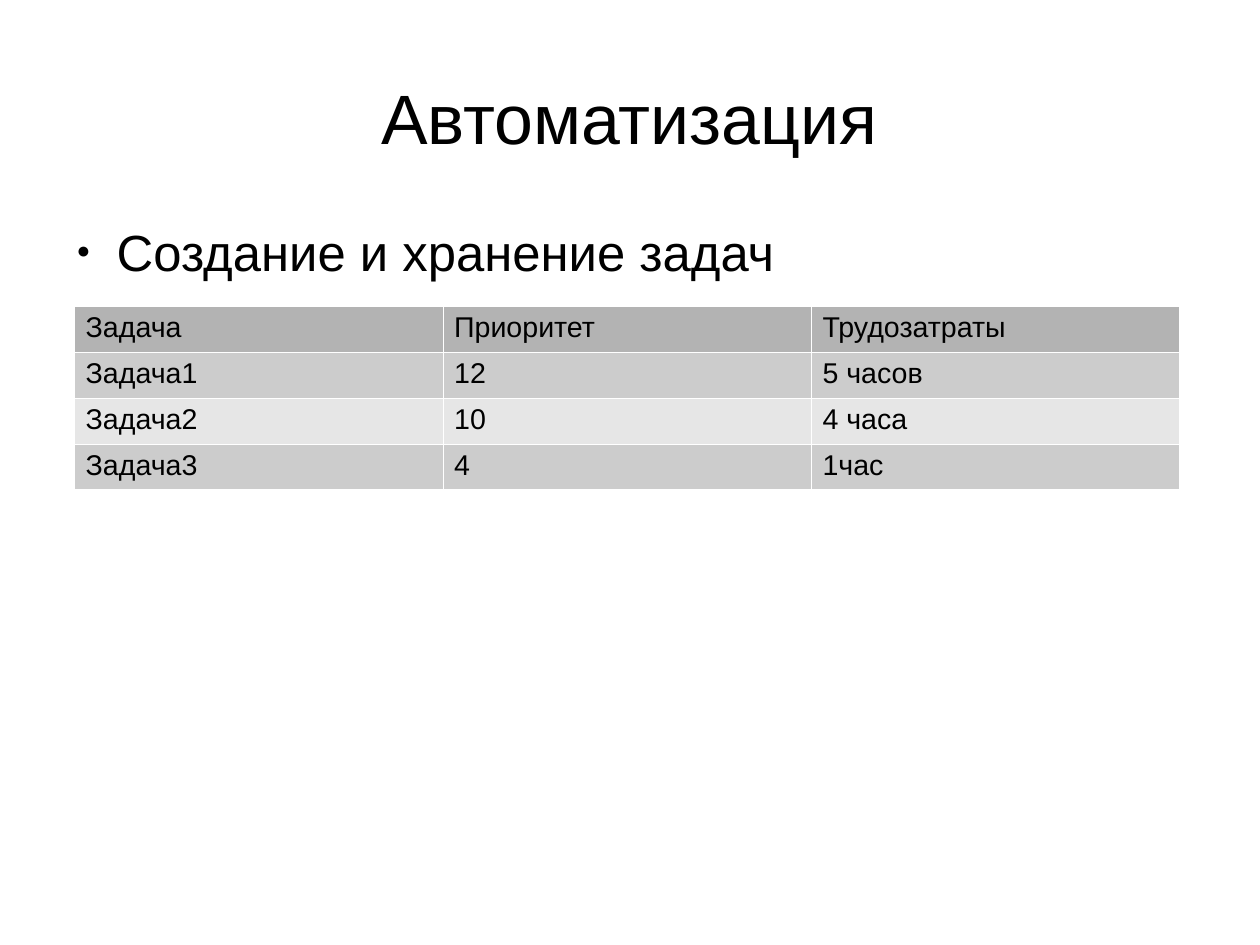
from lxml.etree import SubElement
from pptx import Presentation
from pptx.dml.color import RGBColor
from pptx.enum.text import MSO_ANCHOR, PP_ALIGN
from pptx.oxml.ns import qn
from pptx.util import Cm, Inches, Pt

SLIDE_SIZE_CM = (28, 21)
TITLE_BOX = (0.55, 0.33, 9.92, 1.38)
BODY_BOX = (0.55, 1.93, 9.92, 4.79)
TABLE_BOX = (0.65, 2.68, 9.67, 1.52)

HEADER_FILL = "B3B3B3"
BAND_FILLS = ("CCCCCC", "E6E6E6")
BORDER_COLOR = "FFFFFF"
BORDER_WIDTH = 0.06
PLAIN_TABLE_STYLE = "{2D5ABB26-0587-4C30-8999-92F81FD0307C}"

TASKS = [
    ("Задача", "Приоритет", "Трудозатраты"),
    ("Задача1", "12", "5 часов"),
    ("Задача2", "10", "4 часа"),
    ("Задача3", "4", "1час"),
]


def color(hex_value):
    return RGBColor.from_string(hex_value)


def write(frame, text, size, align=PP_ALIGN.LEFT, anchor=MSO_ANCHOR.TOP,
          font="Arial", ink="000000"):
    frame.word_wrap = True
    frame.vertical_anchor = anchor
    para = frame.paragraphs[0]
    para.alignment = align
    span = para.add_run()
    span.text = text
    span.font.size = Pt(size)
    span.font.name = font
    span.font.color.rgb = color(ink)
    return para


def clear_margins(frame):
    frame.margin_left = frame.margin_top = 0
    frame.margin_right = frame.margin_bottom = 0


def add_bullet(para, indent, hanging, symbol="●", percent=45):
    properties = para._p.get_or_add_pPr()
    properties.set("marL", str(Inches(indent)))
    properties.set("indent", str(-Inches(hanging)))
    bullet_color = SubElement(properties, qn("a:buClr"))
    SubElement(bullet_color, qn("a:srgbClr"), val="000000")
    SubElement(properties, qn("a:buSzPct"), val=str(percent * 1000))
    SubElement(properties, qn("a:buFont"), typeface="Arial")
    SubElement(properties, qn("a:buChar"), char=symbol)


def paint_cell(cell, fill):
    """Draw the four borders, then fill the cell."""
    properties = cell._tc.get_or_add_tcPr()
    for side in ("lnL", "lnR", "lnT", "lnB"):
        line = SubElement(properties, qn(f"a:{side}"), w=str(Pt(BORDER_WIDTH)))
        solid = SubElement(line, qn("a:solidFill"))
        SubElement(solid, qn("a:srgbClr"), val=BORDER_COLOR)
    cell.fill.solid()
    cell.fill.fore_color.rgb = color(fill)


def place_title(page, box, text):
    title = page.shapes.title
    title.left, title.top, title.width, title.height = map(Inches, box)
    clear_margins(title.text_frame)
    write(title.text_frame, text, 44, PP_ALIGN.CENTER, MSO_ANCHOR.MIDDLE)


def place_body(page, box, text):
    body = page.shapes.add_textbox(*map(Inches, box))
    clear_margins(body.text_frame)
    para = write(body.text_frame, text, 32)
    para.space_after = Pt(14.2)
    add_bullet(para, indent=0.47, hanging=0.35)


def place_table(page, box, rows):
    left, top, width, height = map(Inches, box)
    row_count, column_count = len(rows), len(rows[0])
    table = page.shapes.add_table(
        row_count, column_count, left, top, width, height).table
    table.first_row = table.horz_banding = False
    table._tbl.tblPr.find(qn("a:tableStyleId")).text = PLAIN_TABLE_STYLE
    for row_index, values in enumerate(rows):
        fill = BAND_FILLS[(row_index - 1) % 2] if row_index else HEADER_FILL
        for column_index, value in enumerate(values):
            cell = table.cell(row_index, column_index)
            paint_cell(cell, fill)
            write(cell.text_frame, value, 18)


def main():
    deck = Presentation()
    deck.slide_width, deck.slide_height = map(Cm, SLIDE_SIZE_CM)
    page = deck.slides.add_slide(deck.slide_layouts.get_by_name("Title Only"))
    place_title(page, TITLE_BOX, "Автоматизация")
    place_body(page, BODY_BOX, "Создание и хранение задач")
    place_table(page, TABLE_BOX, TASKS)
    deck.save("out.pptx")


if __name__ == "__main__":
    main()
